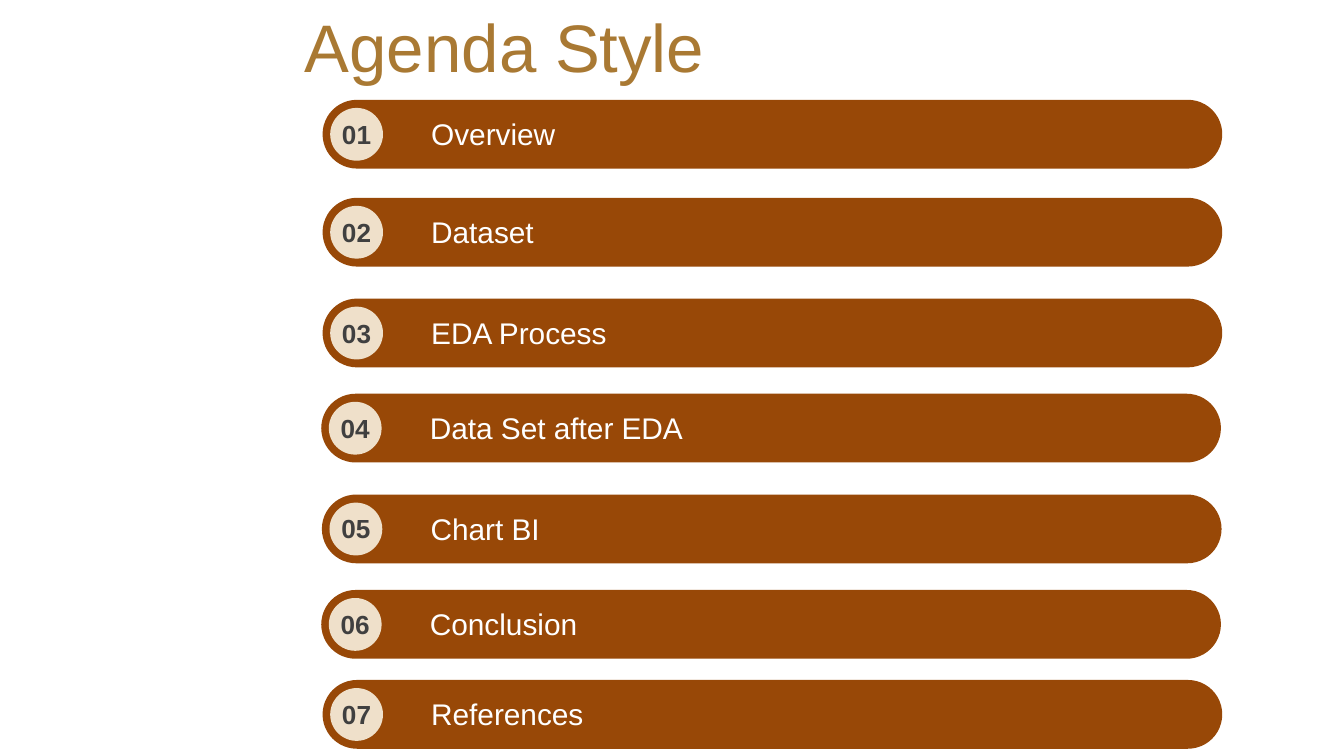
import pptx
import pptx.dml.color
import pptx.enum.shapes
import pptx.enum.text
import pptx.util

SHAPE = pptx.enum.shapes.MSO_SHAPE
ALIGN = pptx.enum.text.PP_ALIGN
ANCHOR = pptx.enum.text.MSO_ANCHOR
FIT = pptx.enum.text.MSO_AUTO_SIZE

COLORS = {
    "page": "FFFFFF",
    "title": "A97933",
    "bar": "984807",
    "badge": "EFE0CA",
    "number": "404040",
    "label": "FFFFFF",
}

# Label with the left column and top row of its bar
AGENDA = [
    ("Overview", 24, 7.43),
    ("Dataset", 24, 14.72),
    ("EDA Process", 24, 22.22),
    ("Data Set after EDA", 23.9, 29.3),
    ("Chart BI", 23.95, 36.8),
    ("Conclusion", 23.9, 43.9),
    ("References", 24, 50.6),
]


class AgendaPage:
    """Style and current slide; lengths are square cells, 100 to the width."""

    font = "Arial"

    def __init__(self, deck):
        self.cell = deck.slide_width / 100
        self.page = deck.slides.add_slide(deck.slide_layouts[6])
        fill = self.page.background.fill
        fill.solid()
        fill.fore_color.rgb = self.color("page")

    def color(self, name):
        return pptx.dml.color.RGBColor.from_string(COLORS[name])

    def place(self, *cells):
        return [round(value * self.cell) for value in cells]

    def shape(self, parent, preset, cells, color):
        shape = parent.shapes.add_shape(preset, *self.place(*cells))
        shape.shadow.inherit = False
        shape.fill.solid()
        shape.fill.fore_color.rgb = self.color(color)
        shape.line.fill.background()
        return shape

    def text(self, parent, text, cells, size, color, bold=False,
             align=ALIGN.LEFT, anchor=ANCHOR.TOP, fit=FIT.SHAPE_TO_FIT_TEXT):
        box = parent.shapes.add_textbox(*self.place(*cells))
        frame = box.text_frame
        frame.text = text
        frame.word_wrap = True
        frame.auto_size = fit
        frame.vertical_anchor = anchor
        para = frame.paragraphs[0]
        para.alignment = align
        for span in para.runs:
            span.font.name = self.font
            span.font.size = pptx.util.Pt(size)
            span.font.bold = bold
            span.font.color.rgb = self.color(color)

    def title(self, text):
        self.text(self.page, text, (21.7, 0.25, 78.3, 6.3), 36, "title",
                  anchor=ANCHOR.MIDDLE, fit=FIT.NONE)

    def item(self, number, label, left, top):
        group = self.page.shapes.add_group_shape()
        bar = self.shape(group, SHAPE.ROUNDED_RECTANGLE,
                         (left, top, 66.94, 5.12), "bar")
        bar.adjustments[0] = 0.5
        self.shape(group, SHAPE.OVAL,
                   (left + 0.57, top + 0.6, 3.93, 3.93), "badge")
        self.text(group, label, (left + 7.1, top + 0.69, 53.1, 3.7),
                  16, "label")
        self.text(group, f"{number:02d}", (left + 0.28, top + 0.87, 4.5, 3.4),
                  14, "number", bold=True, align=ALIGN.CENTER)


def main():
    # Widescreen page, 16 to 9
    deck = pptx.Presentation()
    deck.slide_width = pptx.util.Inches(10)
    deck.slide_height = pptx.util.Inches(10 * 9 / 16)

    # Heading
    agenda = AgendaPage(deck)
    agenda.title("Agenda Style")

    # Numbered bars
    for number, (label, left, top) in enumerate(AGENDA, start=1):
        agenda.item(number, label, left, top)

    deck.save("out.pptx")


if __name__ == "__main__":
    main()
